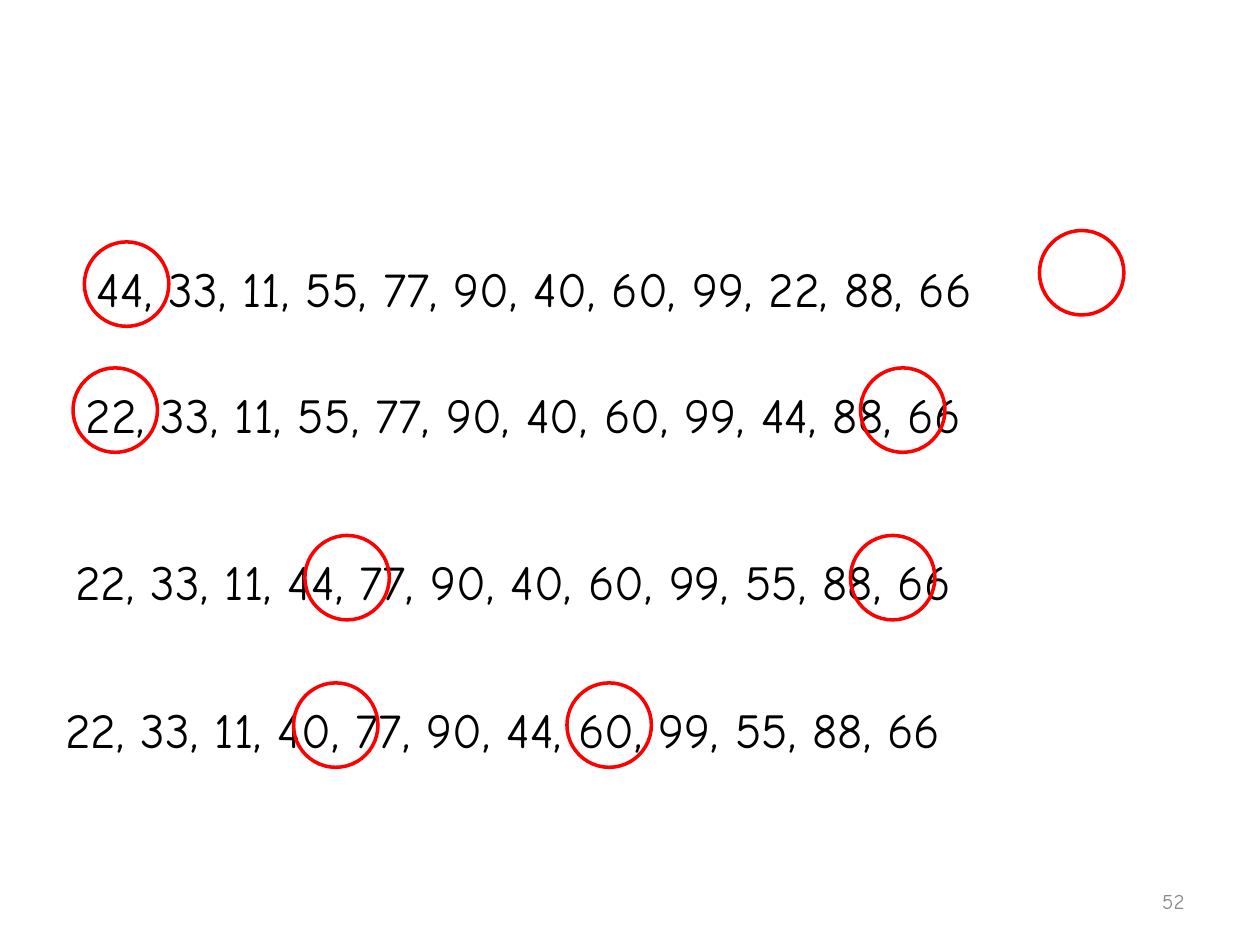
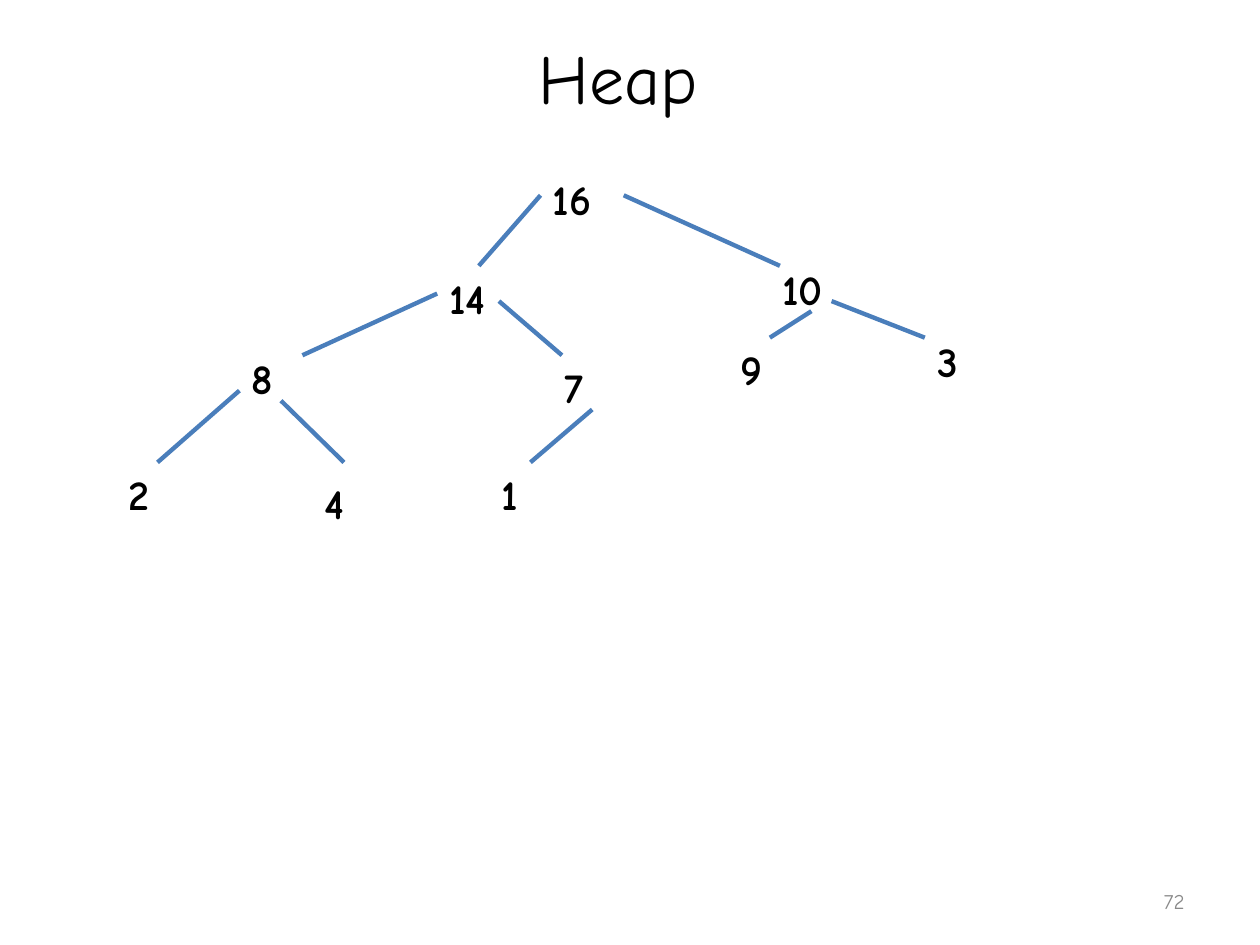
from lxml import etree
from pptx import Presentation
from pptx.dml.color import RGBColor
from pptx.enum.shapes import MSO_CONNECTOR, MSO_SHAPE
from pptx.enum.text import MSO_ANCHOR, PP_ALIGN
from pptx.oxml.ns import qn
from pptx.util import Inches, Pt

LEFT, CENTER, RIGHT = PP_ALIGN.LEFT, PP_ALIGN.CENTER, PP_ALIGN.RIGHT
TOP, MIDDLE = MSO_ANCHOR.TOP, MSO_ANCHOR.MIDDLE
OVAL = MSO_SHAPE.OVAL
STRAIGHT = MSO_CONNECTOR.STRAIGHT
TOP_SIDE = 0

FONT = "Comic Neue"
BLACK, GREY, RED, BLUE = "000000", "898989", "FF0000", "4A7EBB"
CIRCLE_SIZE = 0.67
NODE_W, NODE_H = 0.66, 0.5

# left and top of the row, numbers, left edges of the circles
PARTITION_STEPS = [
    (0.67, 2, "44, 33, 11, 55, 77, 90, 40, 60, 99, 22, 88, 66", []),
    (0.58, 3, "22, 33, 11, 55, 77, 90, 40, 60, 99, 44, 88, 66", [0.58, 6.83]),
    (0.5, 4.33, "22, 33, 11, 44, 77, 90, 40, 60, 99, 55, 88, 66", [6.75, 2.42]),
    (0.42, 5.5, "22, 33, 11, 40, 77, 90, 44, 60, 99, 55, 88, 66", [4.5, 2.33]),
]
FIRST_CIRCLES = [(0.67, 1.92), (8.25, 1.83)]

HEAP_NODES = {
    "16": (4.29, 1.33), "14": (3.47, 2.11), "10": (6.11, 2.04),
    "8": (1.9, 2.75), "7": (4.38, 2.82), "2": (0.92, 3.67),
    "4": (2.48, 3.74), "1": (3.88, 3.67), "9": (5.78, 2.68),
    "3": (7.34, 2.61),
}
# start, end, child whose top the edge meets
HEAP_EDGES = [
    ((4.29, 1.55), (3.8, 2.11), "14"),
    ((4.95, 1.55), (6.19, 2.11), None),
    ((3.47, 2.33), (2.4, 2.82), None),
    ((3.96, 2.39), (4.46, 2.82), None),
    ((1.9, 3.1), (1.25, 3.67), "2"),
    ((2.23, 3.18), (2.73, 3.67), None),
    ((4.7, 3.25), (4.21, 3.67), "1"),
    ((6.44, 2.47), (6.11, 2.68), "9"),
    ((6.6, 2.39), (7.34, 2.68), None),
]


def rgb(color):
    return RGBColor.from_string(color)


def add_text(slide, text, x, y, w, h, size=28, color=BLACK, bold=False,
             align=LEFT, anchor=TOP):
    sp = slide.shapes.add_textbox(Inches(x), Inches(y), Inches(w), Inches(h))
    tf = sp.text_frame
    tf.word_wrap = True
    tf.vertical_anchor = anchor
    p = tf.paragraphs[0]
    p.alignment = align
    r = p.add_run()
    r.text = text
    r.font.name = FONT
    r.font.size = Pt(size)
    r.font.bold = bold
    r.font.color.rgb = rgb(color)
    return sp


def add_title(slide, text):
    add_text(slide, text, 0.5, 0.3, 9, 0.62, size=40, align=CENTER, anchor=MIDDLE)


def add_page_number(slide, number):
    add_text(slide, str(number), 7.17, 6.95, 2.33, 0.4, size=12, color=GREY,
             align=RIGHT, anchor=MIDDLE)


def add_circle(slide, x, y):
    sp = slide.shapes.add_shape(OVAL, Inches(x), Inches(y),
                                Inches(CIRCLE_SIZE), Inches(CIRCLE_SIZE))
    sp.shadow.inherit = False
    sp.fill.background()
    sp.line.color.rgb = rgb(RED)
    sp.line.width = Pt(2)


def add_edge(slide, start, end, child=None):
    """Draw a heap edge, joined to the top of the child box if one is given."""
    line = slide.shapes.add_connector(STRAIGHT, *map(Inches, start + end))
    line.line.color.rgb = rgb(BLUE)
    line.line.width = Pt(2.5)
    etree.SubElement(line._element.spPr, qn("a:effectLst"))
    if child is not None:
        line.end_connect(child, TOP_SIDE)


def add_slide(prs, number):
    slide = prs.slides.add_slide(prs.slide_layouts[6])
    add_page_number(slide, number)
    return slide


def build_partition_slide(prs):
    slide = add_slide(prs, 52)
    for x, y, numbers, circles in PARTITION_STEPS:
        add_text(slide, numbers, x, y, 8.75, 1.04)
        for circle_x in circles:
            add_circle(slide, circle_x, y - 0.08)
    for x, y in FIRST_CIRCLES:
        add_circle(slide, x, y)


def build_heap_slide(prs):
    slide = add_slide(prs, 72)
    add_title(slide, "Heap ")
    nodes = {key: add_text(slide, key, x, y, NODE_W, NODE_H, size=24, bold=True)
             for key, (x, y) in HEAP_NODES.items()}
    for start, end, child in HEAP_EDGES:
        add_edge(slide, start, end, nodes.get(child))


def main():
    prs = Presentation()
    prs.slide_width, prs.slide_height = Inches(10), Inches(7.5)
    build_partition_slide(prs)
    build_heap_slide(prs)
    prs.save("out.pptx")


if __name__ == "__main__":
    main()
